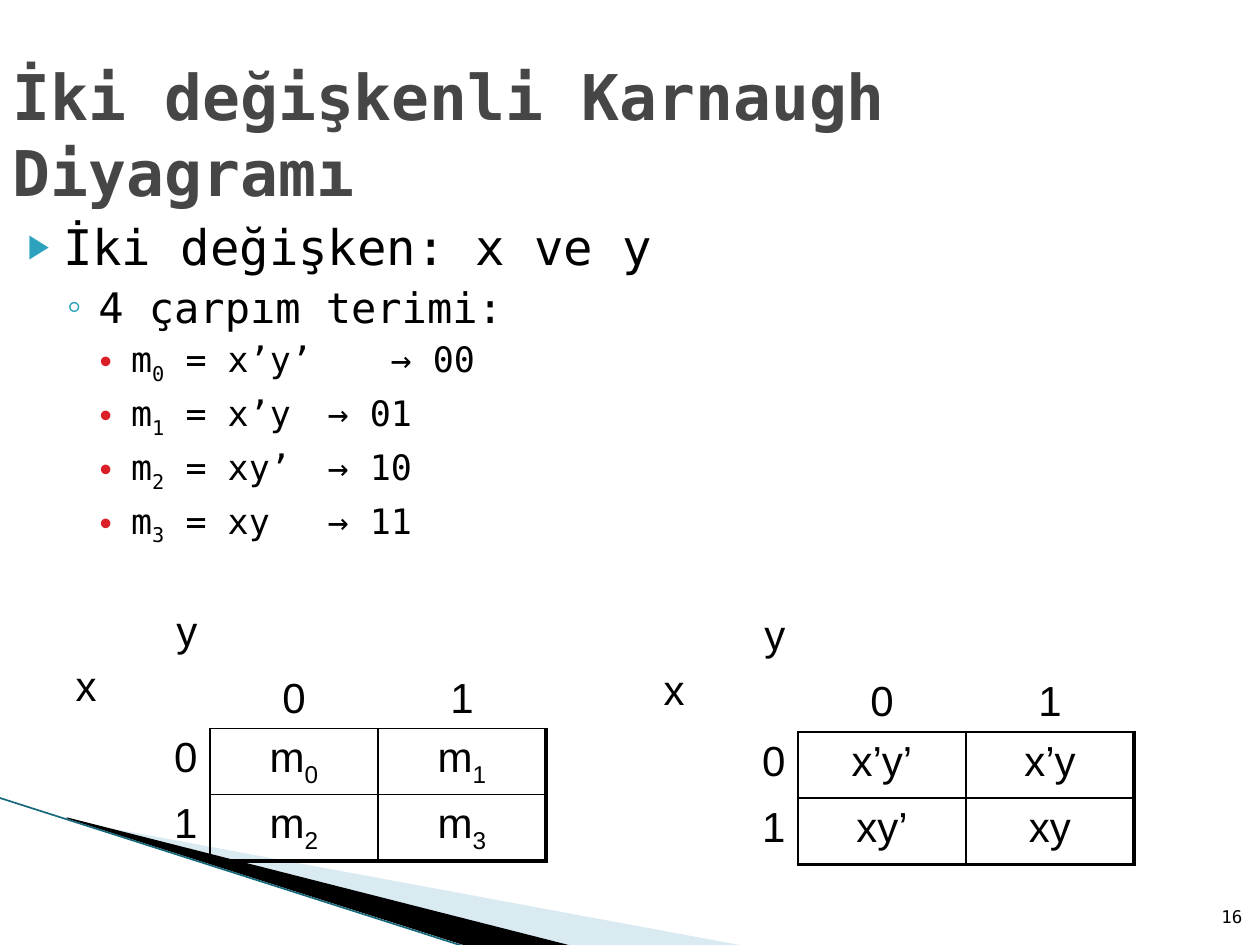
import pptx
import pptx.dml.color
import pptx.enum.shapes
import pptx.enum.text
import pptx.oxml
import pptx.oxml.ns
import pptx.util

Pt = pptx.util.Pt
ALIGN = pptx.enum.text.PP_ALIGN
ANCHOR = pptx.enum.text.MSO_ANCHOR
MONO, SANS = "DejaVu Sans Mono", "Arial"
COLORS = {
    "text": "000000", "title": "464646", "teal": "2DA2BF", "red": "DA1F28",
    "pale": "A0CBDC", "edge": "16697A",
}

# Content: in a tuple of runs, every second run is a subscript
TITLE = "İki değişkenli Karnaugh Diyagramı"
OUTLINE = [
    (0, ("İki değişken: x ve y",)),
    (1, ("4 çarpım terimi:",)),
    (2, ("m", "0", " = x’y’ \t→ 00")),
    (2, ("m", "1", " = x’y \t→ 01")),
    (2, ("m", "2", " = xy’ \t→ 10")),
    (2, ("m", "3", " = xy \t→ 11")),
]
MAPS = [
    (36, 344.2, [[("m", "0"), ("m", "1")], [("m", "2"), ("m", "3")]]),
    (372, 346.3, [[("x’y’",), ("x’y",)], [("xy’",), ("xy",)]]),
]
PAGE = "16"

# Level: size, left margin, hanging indent, space before, bullet, colour, bullet %
LEVELS = [
    (28, 28.8, 20.2, 4, "▶", "teal", 68),
    (24, 49, 18, 3.2, "◦", "teal", 100),
    (20, 67.7, 18, 3.5, "•", "red", 100),
]
WEDGES = [
    ([(39.6, 468.7), (428.4, 540.7), (328.3, 540.7), (39.6, 468)], "pale", 40),
    ([(38.2, 467.3), (329, 540.7), (267.8, 541.4), (38.9, 468)], "text", 100),
]
COLUMNS, ROWS = (84, 96, 96), (72, 37.8, 37.8)
NO_GRID = "{2D5ABB26-0587-4C30-8999-92F81FD0307C}"


def rgb(name):
    return pptx.dml.color.RGBColor.from_string(COLORS[name])


def element(xml):
    return pptx.oxml.parse_xml(xml.replace(" ", f" {pptx.oxml.ns.nsdecls('a')} ", 1))


def add_runs(paragraph, parts, size, font=MONO, color="text", bold=False):
    for index, part in enumerate(parts):
        run = paragraph.add_run()
        run.text = part
        run.font.name, run.font.size, run.font.bold = font, Pt(size), bold
        run.font.color.rgb = rgb(color)
        if index % 2:
            run.font._element.set("baseline", "-25000")


def place(shape, left, top, width, height, anchor):
    shape.left, shape.top = Pt(left), Pt(top)
    shape.width, shape.height = Pt(width), Pt(height)
    frame = shape.text_frame
    frame.word_wrap = True
    frame.auto_size = pptx.enum.text.MSO_AUTO_SIZE.NONE
    frame.vertical_anchor = anchor
    return frame


def add_wedge(slide, points, color, opacity):
    builder = slide.shapes.build_freeform(*points[0], scale=12700)
    builder.add_line_segments(points[1:], close=True)
    wedge = builder.convert_to_shape()
    wedge.shadow.inherit = False
    wedge.line.fill.background()
    wedge.fill.solid()
    wedge.fill.fore_color.rgb = rgb(color)
    if opacity < 100:
        solid = wedge._element.spPr.find(pptx.oxml.ns.qn("a:solidFill"))
        solid[0].append(element(f'<a:alpha val="{opacity * 1000}"/>'))


def border(cell, side, width):
    cell._tc.get_or_add_tcPr().append(element(
        f'<a:ln{side} w="{Pt(width)}"><a:solidFill><a:srgbClr val="{COLORS["text"]}"/>'
        f'</a:solidFill></a:ln{side}>'))


def add_map(slide, left, top, terms):
    table = slide.shapes.add_table(
        3, 3, Pt(left), Pt(top), Pt(sum(COLUMNS)), Pt(sum(ROWS))).table
    table.first_row = table.horz_banding = False
    table._tbl.tblPr.find(pptx.oxml.ns.qn("a:tableStyleId")).text = NO_GRID
    for column, width in zip(table.columns, COLUMNS):
        column.width = Pt(width)
    for row, height in zip(table.rows, ROWS):
        row.height = Pt(height)

    # Axis names and values around the terms
    grid = [[("y",), ("0",), ("1",)]]
    grid += [[(str(value),), *row] for value, row in enumerate(terms)]
    for r, row in enumerate(grid):
        for c, parts in enumerate(row):
            cell = table.cell(r, c)
            if r and c:
                for side, width in zip("LRTB", (1, 2.25 if c == 2 else 1,
                                                1, 2.25 if r == 2 else 1)):
                    border(cell, side, width)
            elif r:
                border(cell, "R", 1)
            elif c:
                border(cell, "B", 1)
            cell.fill.background()
            cell.vertical_anchor = ANCHOR.TOP if r or not c else ANCHOR.BOTTOM
            paragraph = cell.text_frame.paragraphs[0]
            paragraph.alignment = ALIGN.CENTER if c else ALIGN.RIGHT
            paragraph.space_before = Pt(4.8)
            add_runs(paragraph, parts, 24, SANS)
    row_name = table.cell(0, 0).text_frame.add_paragraph()
    row_name.alignment = ALIGN.LEFT
    row_name.space_before = Pt(4.8)
    add_runs(row_name, ("x",), 24, SANS)


def main():
    deck = pptx.Presentation()
    deck.slide_width, deck.slide_height = Pt(720), Pt(540)
    slide = deck.slides.add_slide(deck.slide_layouts[1])

    # Corner decoration
    for wedge in WEDGES:
        add_wedge(slide, *wedge)
    edge = slide.shapes.add_connector(
        pptx.enum.shapes.MSO_CONNECTOR.STRAIGHT, Pt(-0.7), Pt(455.8), Pt(267.1), Pt(541.4))
    edge.line.color.rgb = rgb("edge")
    edge.line.width = Pt(0.95)
    edge._element.spPr.append(element("<a:effectLst />"))

    # Title
    heading = place(slide.shapes.title, 0, 37.4, 648, 77.8, ANCHOR.MIDDLE).paragraphs[0]
    heading.alignment = ALIGN.LEFT
    add_runs(heading, (TITLE,), 36, color="title", bold=True)

    # Outline
    outline = place(slide.placeholders[1], 0, 120.2, 612, 216, ANCHOR.TOP)
    for index, (level, parts) in enumerate(OUTLINE):
        item = outline.add_paragraph() if index else outline.paragraphs[0]
        size, margin, hanging, before, bullet, color, percent = LEVELS[level]
        item.level = level
        item.space_before = Pt(before)
        props = item._p.get_or_add_pPr()
        props.set("marL", str(Pt(margin)))
        props.set("indent", str(-Pt(hanging)))
        props.append(element(f'<a:buClr ><a:srgbClr val="{COLORS[color]}"/></a:buClr>'))
        props.append(element(f'<a:buSzPct val="{percent * 1000}"/>'))
        props.append(element(f'<a:buChar char="{bullet}"/>'))
        add_runs(item, parts, size)

    # Karnaugh maps
    for karnaugh in MAPS:
        add_map(slide, *karnaugh)

    # Page number
    corner = place(slide.shapes.add_textbox(0, 0, 0, 0), 681.1, 504.7, 28.8, 28.8, ANCHOR.BOTTOM)
    corner.margin_left = corner.margin_right = 0
    corner.paragraphs[0].alignment = ALIGN.RIGHT
    add_runs(corner.paragraphs[0], (PAGE,), 10)

    deck.save("out.pptx")


if __name__ == "__main__":
    main()
